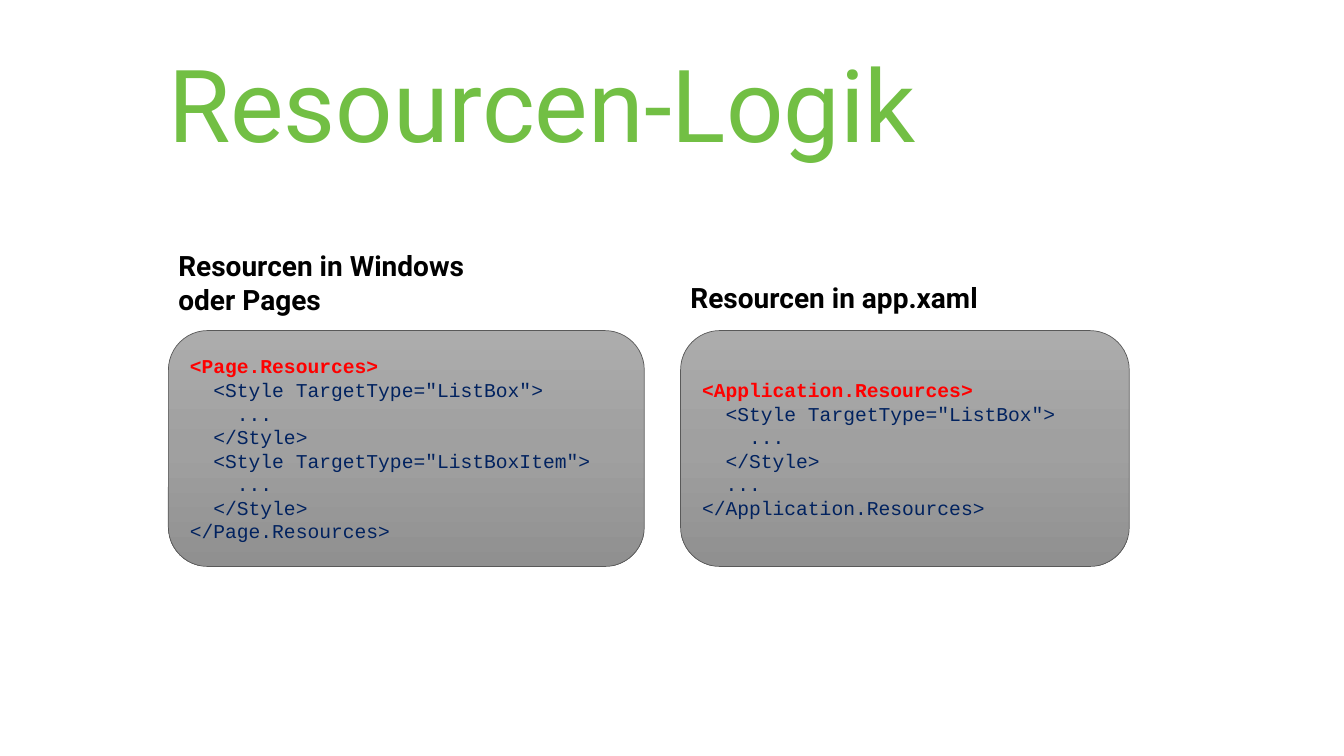
from copy import deepcopy

from pptx import Presentation
from pptx.dml.color import RGBColor
from pptx.enum.shapes import MSO_SHAPE
from pptx.enum.text import MSO_ANCHOR, MSO_AUTO_SIZE, PP_ALIGN
from pptx.oxml.ns import qn
from pptx.util import Inches, Pt

GREEN = RGBColor(0x72, 0xBF, 0x44)
BLACK = RGBColor(0x00, 0x00, 0x00)
RED = RGBColor(0xFF, 0x00, 0x00)
NAVY = RGBColor(0x01, 0x22, 0x5F)
OUTLINE = RGBColor(0x59, 0x59, 0x59)
GRADIENT = [
    (0, RGBColor(0xAC, 0xAC, 0xAC)),
    (0.5, RGBColor(0xA0, 0xA0, 0xA0)),
    (1, RGBColor(0x90, 0x90, 0x90)),
]

PAGE_CODE = """<Page.Resources>
  <Style TargetType="ListBox">
    ...
  </Style>
  <Style TargetType="ListBoxItem">
    ...
  </Style>
</Page.Resources>"""

APPLICATION_CODE = """<Application.Resources>
  <Style TargetType="ListBox">
    ...
  </Style>
  ...
</Application.Resources>"""

# heading lines, left, heading top, heading height, panel width, code
COLUMNS = [
    (["Resourcen in Windows", "oder Pages"], 1.67, 2.42, 0.77, 4.72, PAGE_CODE),
    (["Resourcen in app.xaml"], 6.75, 2.73, 0.44, 4.45, APPLICATION_CODE),
]


def add_run(paragraph, text, font_name, size, color, bold=False):
    run = paragraph.add_run()
    run.text = text
    run.font.name = font_name
    run.font.size = Pt(size)
    run.font.color.rgb = color
    run.font.bold = bold


def fill_with_gradient(shape):
    """Give the shape the three-stop grey gradient, light at the top."""
    shape.fill.gradient()
    shape.fill.gradient_angle = 270
    stop_list = shape.element.spPr.find(qn("a:gradFill")).find(qn("a:gsLst"))
    stop_list.append(deepcopy(stop_list[0]))
    for stop, (position, color) in zip(shape.fill.gradient_stops, GRADIENT):
        stop.position = position
        stop.color.rgb = color


prs = Presentation()
prs.slide_width = Inches(13.33)
prs.slide_height = Inches(7.5)
slide = prs.slides.add_slide(prs.slide_layouts[5])

title = slide.shapes.title
title.left, title.top = Inches(1.67), Inches(0.52)
title.width, title.height = Inches(11.3), Inches(0.99)
title_frame = title.text_frame
title_frame.margin_left = title_frame.margin_right = 0
title_frame.margin_top = title_frame.margin_bottom = 0
title_frame.vertical_anchor = MSO_ANCHOR.MIDDLE
title_frame.auto_size = MSO_AUTO_SIZE.NONE
title_frame.word_wrap = True
title_frame.paragraphs[0].alignment = PP_ALIGN.LEFT
add_run(title_frame.paragraphs[0], "Resourcen-Logik", "Roboto", 72, GREEN)

for heading_lines, left, heading_top, heading_height, panel_width, code in COLUMNS:
    panel = slide.shapes.add_shape(
        MSO_SHAPE.ROUNDED_RECTANGLE,
        Inches(left), Inches(3.28), Inches(panel_width), Inches(2.34))
    panel.shadow.inherit = False
    fill_with_gradient(panel)
    panel.line.color.rgb = OUTLINE
    panel.line.width = Pt(0.5)
    panel_frame = panel.text_frame
    panel_frame.word_wrap = True
    panel_frame.vertical_anchor = MSO_ANCHOR.MIDDLE
    for index, code_line in enumerate(code.splitlines()):
        paragraph = panel_frame.add_paragraph() if index else panel_frame.paragraphs[0]
        paragraph.alignment = PP_ALIGN.LEFT
        is_opening_tag = index == 0
        add_run(paragraph, code_line, "Courier New", 14,
                RED if is_opening_tag else NAVY, bold=is_opening_tag)

    heading = slide.shapes.add_textbox(
        Inches(left), Inches(heading_top), Inches(3.4), Inches(heading_height))
    heading.text_frame.word_wrap = True
    heading_paragraph = heading.text_frame.paragraphs[0]
    for index, heading_line in enumerate(heading_lines):
        if index:
            heading_paragraph.add_line_break()
        add_run(heading_paragraph, heading_line, "Roboto", 20, BLACK, bold=True)

prs.save("out.pptx")
